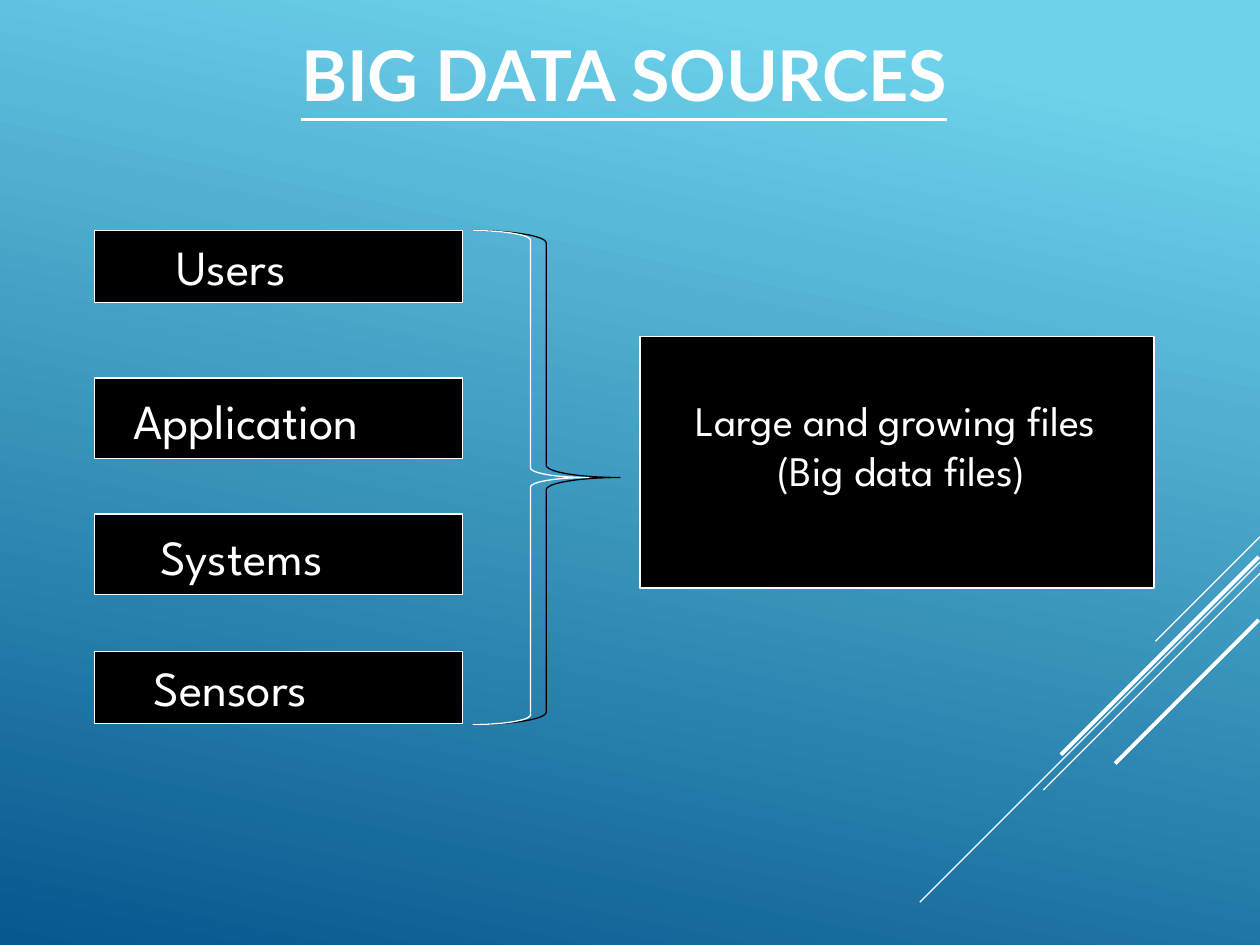
from lxml.etree import SubElement
from pptx import Presentation
from pptx.dml.color import RGBColor
from pptx.enum.shapes import MSO_CONNECTOR, MSO_SHAPE
from pptx.enum.text import MSO_ANCHOR, MSO_AUTO_SIZE, PP_ALIGN
from pptx.oxml.ns import qn
from pptx.util import Inches, Pt

WHITE = RGBColor(0xFF, 0xFF, 0xFF)
BLACK = RGBColor(0, 0, 0)
SKY = RGBColor(0x6E, 0xD2, 0xEB)
NAVY = RGBColor(0x06, 0x58, 0x8E)
BODY_FONT = "League Spartan"

TITLE = "BIG DATA SOURCES"
# name, top, height, text indent, top inset
SOURCES = [
    ("Users", 1.83, 0.57, 0.55, 0.05),
    ("Application", 3, 0.64, 0.21, 0.1),
    ("Systems", 4.08, 0.64, 0.42, 0.1),
    ("Sensors", 5.17, 0.57, 0.37, 0.05),
]
SOURCE_LEFT, SOURCE_WIDTH = 0.75, 2.92
# line of text, indent
RESULT = [("Large and growing files", 0), ("(Big data files)", 0.65)]
# right end x, y, diagonal run, line width
STRIPES = [
    (10, 4.26, 0.83, 0.75),
    (10, 4.46, 2.7, 0.75),
    (10, 4.55, 1.72, 0.75),
    (9.99, 4.42, 1.57, 2.25),
    (9.99, 4.92, 1.14, 2.25),
]
BRACE_LEFT, BRACE_TOP, BRACE_HEIGHT = 3.75, 1.83, 3.92
INSET = 0.1


def add_outlined(kind, box, fill, line, width=0.75):
    sp = s.shapes.add_shape(kind, *map(Inches, box))
    sp.shadow.inherit = False
    if fill is None:
        sp.fill.background()
    else:
        sp.fill.solid()
        sp.fill.fore_color.rgb = fill
    sp.line.color.rgb = line
    sp.line.width = Pt(width)
    return sp


def style(p, size, font=BODY_FONT):
    p.alignment = PP_ALIGN.LEFT
    p.font.size = Pt(size)
    p.font.name = font
    p.font.color.rgb = WHITE


def add_brace(width, color):
    add_outlined(MSO_SHAPE.RIGHT_BRACE,
                 (BRACE_LEFT, BRACE_TOP, width, BRACE_HEIGHT), None, color)


prs = Presentation()
prs.slide_width, prs.slide_height = Inches(10), Inches(7.5)
s = prs.slides.add_slide(prs.slide_layouts[5])

# Background gradient
bg = s.background.fill
bg.gradient()
bg.gradient_angle = 360 - 102
for stop, color, position in zip(bg.gradient_stops, (SKY, NAVY), (0.1, 1)):
    stop.color.rgb = color
    stop.position = position

# Diagonal stripes
for x, y, run, width in STRIPES:
    ln = s.shapes.add_connector(MSO_CONNECTOR.STRAIGHT, Inches(x), Inches(y),
                                Inches(x - run), Inches(y + run))
    ln.line.color.rgb = WHITE
    ln.line.width = Pt(width)
    SubElement(ln._element.spPr, qn("a:effectLst"))

# Title
title = s.shapes.title
title.left, title.top, title.width, title.height = map(
    Inches, (2.17, 0.17, 5.75, 0.83))
tf = title.text_frame
tf.text = TITLE
tf.auto_size = MSO_AUTO_SIZE.NONE
tf.vertical_anchor = MSO_ANCHOR.MIDDLE
tf.margin_left = Inches(INSET + 0.12)
p = tf.paragraphs[0]
style(p, 40, "Lato")
p.font.bold = p.font.underline = True

# Source boxes
for name, top, height, indent, inset in SOURCES:
    sp = add_outlined(MSO_SHAPE.RECTANGLE,
                      (SOURCE_LEFT, top, SOURCE_WIDTH, height), BLACK, WHITE)
    tf = sp.text_frame
    tf.text = name
    tf.vertical_anchor = MSO_ANCHOR.TOP
    tf.margin_left = Inches(INSET + indent)
    tf.margin_top = Inches(inset)
    style(tf.paragraphs[0], 28)

# Dark brace, result box and its label, light brace in front
add_brace(1.17, BLACK)
add_outlined(MSO_SHAPE.RECTANGLE, (5.08, 2.67, 4.08, 2), BLACK, WHITE, 1)
label = s.shapes.add_textbox(*map(Inches, (5.42, 3.08, 3.67, 0.91)))
tf = label.text_frame
tf.word_wrap = True
tf.text = "\n".join(text for text, _ in RESULT)
for p, (_, indent) in zip(tf.paragraphs, RESULT):
    style(p, 24)
    p._p.get_or_add_pPr().set("marL", str(Inches(indent)))
add_brace(0.92, WHITE)

prs.save("out.pptx")
